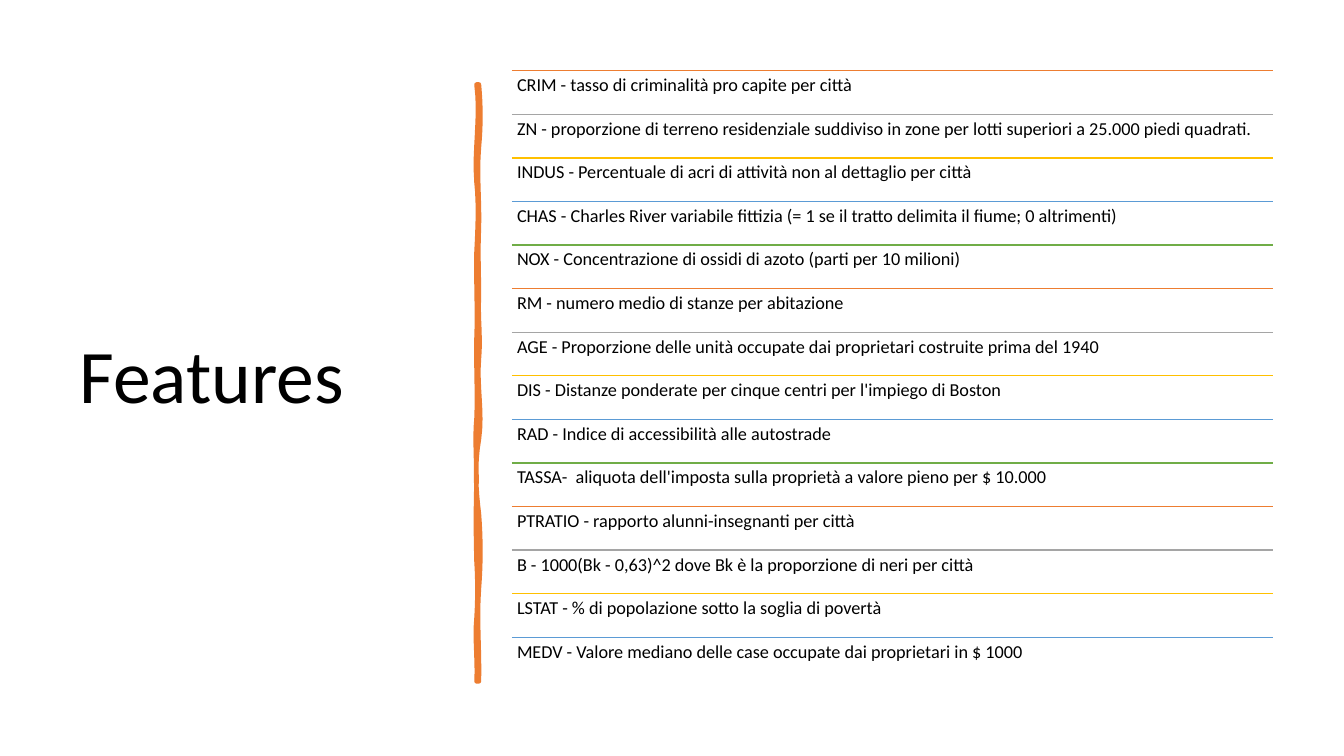
from dataclasses import dataclass

import pptx
import pptx.dml.color
import pptx.enum.shapes
import pptx.enum.text
import pptx.oxml.ns
import pptx.slide
import pptx.util
from lxml import etree
from pptx.util import Cm, Pt

FONT = "Calibri"
BLACK = "000000"
ORANGE = "ED7D31"
RULE_COLORS = [ORANGE, "A5A5A5", "FFC000", "5B9BD5", "70AD47"]

LIST_LEFT, LIST_TOP, LIST_WIDTH, LIST_HEIGHT = 12.9, 1.78, 19.18, 15.38
FEATURES = [
    "CRIM - tasso di criminalità pro capite per città",
    "ZN - proporzione di terreno residenziale suddiviso in zone per lotti superiori a 25.000 piedi quadrati.",
    "INDUS - Percentuale di acri di attività non al dettaglio per città",
    "CHAS - Charles River variabile fittizia (= 1 se il tratto delimita il fiume; 0 altrimenti)",
    "NOX - Concentrazione di ossidi di azoto (parti per 10 milioni)",
    "RM - numero medio di stanze per abitazione",
    "AGE - Proporzione delle unità occupate dai proprietari costruite prima del 1940",
    "DIS - Distanze ponderate per cinque centri per l'impiego di Boston",
    "RAD - Indice di accessibilità alle autostrade",
    "TASSA-  aliquota dell'imposta sulla proprietà a valore pieno per $ 10.000",
    "PTRATIO - rapporto alunni-insegnanti per città",
    "B - 1000(Bk - 0,63)^2 dove Bk è la proporzione di neri per città",
    "LSTAT - % di popolazione sotto la soglia di povertà",
    "MEDV - Valore mediano delle case occupate dai proprietari in $ 1000",
]


@dataclass
class Wave:
    """One curve of a brush edge: x of its two control points, y of its end."""
    first_x: float
    second_x: float
    end_y: float


BRUSH_TOP, BRUSH_BOTTOM = 2.13, 17.17
BRUSH_LEFT, BRUSH_RIGHT = 12.01, 12.07
RIGHT_EDGE = [
    Wave(12.12, 12.12, 3.71), Wave(12.01, 12.09, 5.74),
    Wave(12.04, 12.07, 7.47), Wave(12.04, 12.12, 9.04),
    Wave(12.01, 12.17, 11.07), Wave(11.96, 11.99, 12.95),
    Wave(12.12, 12.12, 14.83), Wave(12.01, 12.09, BRUSH_BOTTOM),
]
LEFT_EDGE = [
    Wave(12.04, 11.96, 15.57), Wave(12.04, 12.04, 14.15),
    Wave(11.99, 11.99, 12.12), Wave(12.01, 11.96, 10.54),
    Wave(12.04, 11.99, 8.51), Wave(12.04, 11.99, 6.35),
    Wave(12.04, 12.07, 4.6), Wave(11.94, 12.12, BRUSH_TOP),
]


def color(value: str) -> pptx.dml.color.RGBColor:
    return pptx.dml.color.RGBColor.from_string(value)


def format_paragraph(para, size: float) -> None:
    para.alignment = pptx.enum.text.PP_ALIGN.LEFT
    para.line_spacing = 0.9
    para.font.name = FONT
    para.font.size = Pt(size)
    para.font.color.rgb = color(BLACK)


def add_title(page: pptx.slide.Slide) -> None:
    title = page.shapes.title
    title.left, title.top, title.width, title.height = Cm(1.75), Cm(1.78), Cm(9.5), Cm(15.52)
    frame = title.text_frame
    frame.text = "Features"
    frame.auto_size = pptx.enum.text.MSO_AUTO_SIZE.NONE
    frame.vertical_anchor = pptx.enum.text.MSO_ANCHOR.MIDDLE
    format_paragraph(frame.paragraphs[0], 54)


def edge_points(x: float, y: float, waves: list[Wave], steps: int = 8) -> list[tuple[int, int]]:
    """Sample cubic curves that all start and end at x, with heights evenly spread."""
    points = [(Cm(x), Cm(y))]
    for wave in waves:
        for step in range(1, steps + 1):
            t = step / steps
            u = 1 - t
            curve_x = (u**3 + t**3) * x + 3 * u * t * (u * wave.first_x + t * wave.second_x)
            points.append((Cm(curve_x), Cm(u * y + t * wave.end_y)))
        y = wave.end_y
    return points


def add_brush_stroke(page: pptx.slide.Slide) -> None:
    outline = edge_points(BRUSH_RIGHT, BRUSH_TOP, RIGHT_EDGE)
    outline += edge_points(BRUSH_LEFT, BRUSH_BOTTOM, LEFT_EDGE)
    builder = page.shapes.build_freeform(*outline[0])
    builder.add_line_segments(outline[1:], close=True)
    brush = builder.convert_to_shape()
    brush.shadow.inherit = False
    brush.fill.solid()
    brush.fill.fore_color.rgb = color(ORANGE)
    brush.line.color.rgb = color(ORANGE)
    brush.line.width = Pt(3.25)


def add_rule(page: pptx.slide.Slide, top: float, rule_color: str) -> None:
    rule = page.shapes.add_connector(
        pptx.enum.shapes.MSO_CONNECTOR.STRAIGHT,
        Cm(LIST_LEFT), Cm(top), Cm(LIST_LEFT + LIST_WIDTH), Cm(top))
    rule.line.color.rgb = color(rule_color)
    rule.line.width = Pt(1)
    etree.SubElement(rule._element.spPr, pptx.oxml.ns.qn("a:effectLst"))


def add_feature(page: pptx.slide.Slide, top: float, height: float, text: str) -> None:
    box = page.shapes.add_textbox(Cm(LIST_LEFT), Cm(top), Cm(LIST_WIDTH), Cm(height))
    frame = box.text_frame
    frame.word_wrap = True
    frame.margin_left = frame.margin_right = Cm(0.13)
    frame.margin_top = frame.margin_bottom = Cm(0.13)
    frame.text = text
    format_paragraph(frame.paragraphs[0], 13)


def main() -> None:
    deck = pptx.Presentation()
    deck.slide_width, deck.slide_height = Cm(33.87), Cm(19.05)
    page = deck.slides.add_slide(deck.slide_layouts.get_by_name("Title Only"))
    add_title(page)
    add_brush_stroke(page)
    row_height = LIST_HEIGHT / len(FEATURES)
    for index, text in enumerate(FEATURES):
        top = LIST_TOP + index * row_height
        add_rule(page, top, RULE_COLORS[index % len(RULE_COLORS)])
        add_feature(page, top, row_height, text)
    deck.save("out.pptx")


if __name__ == "__main__":
    main()
